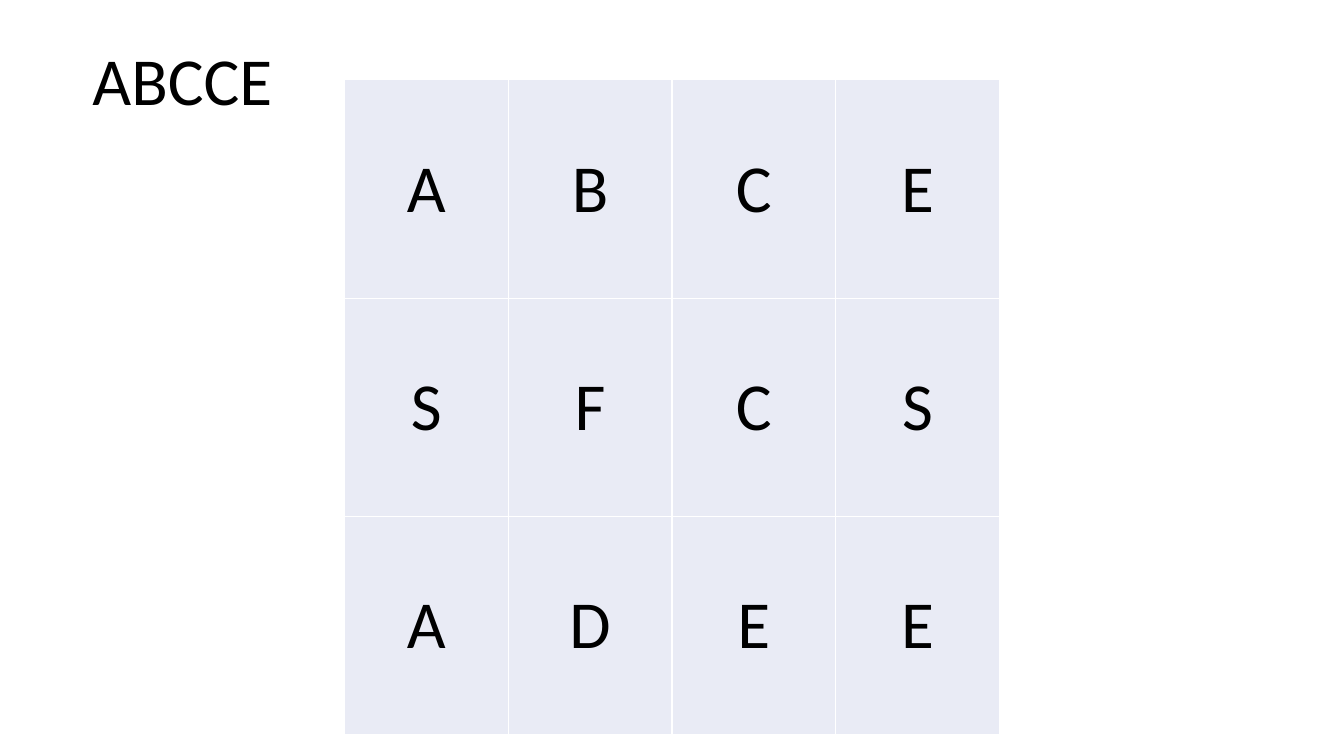
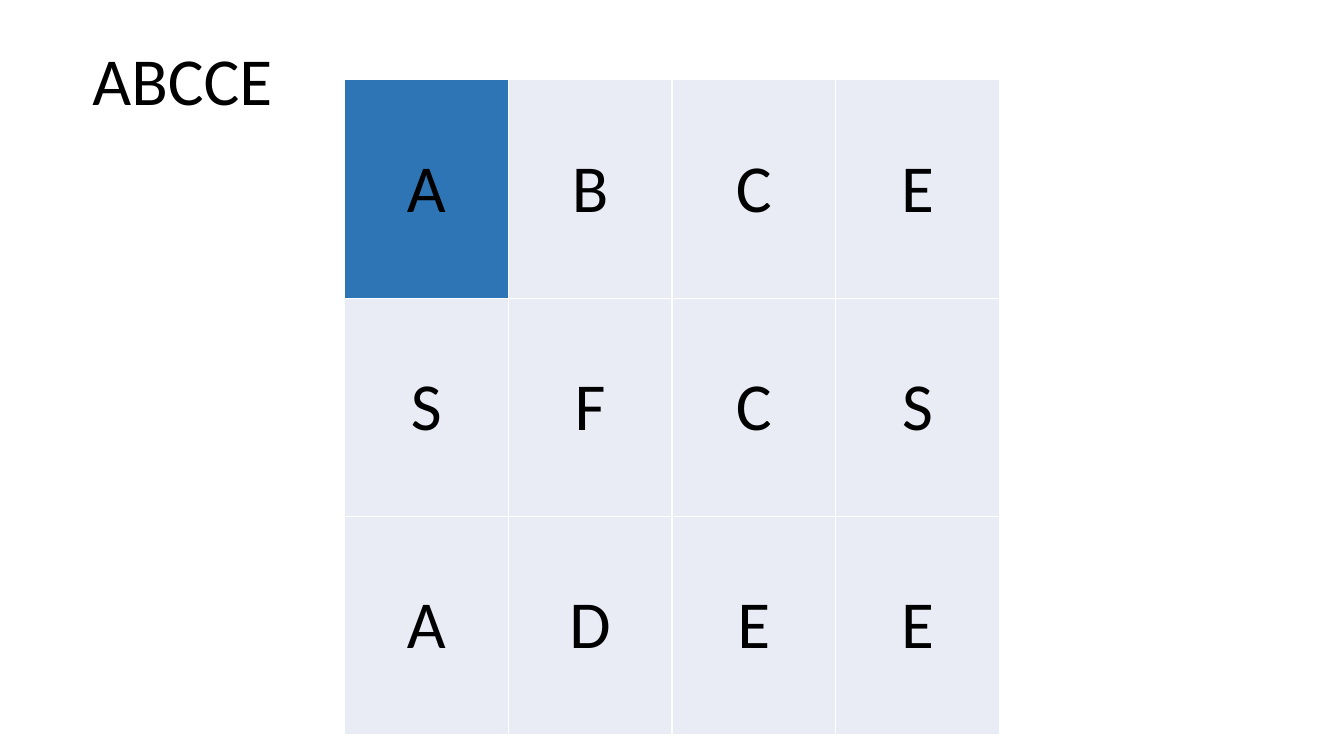
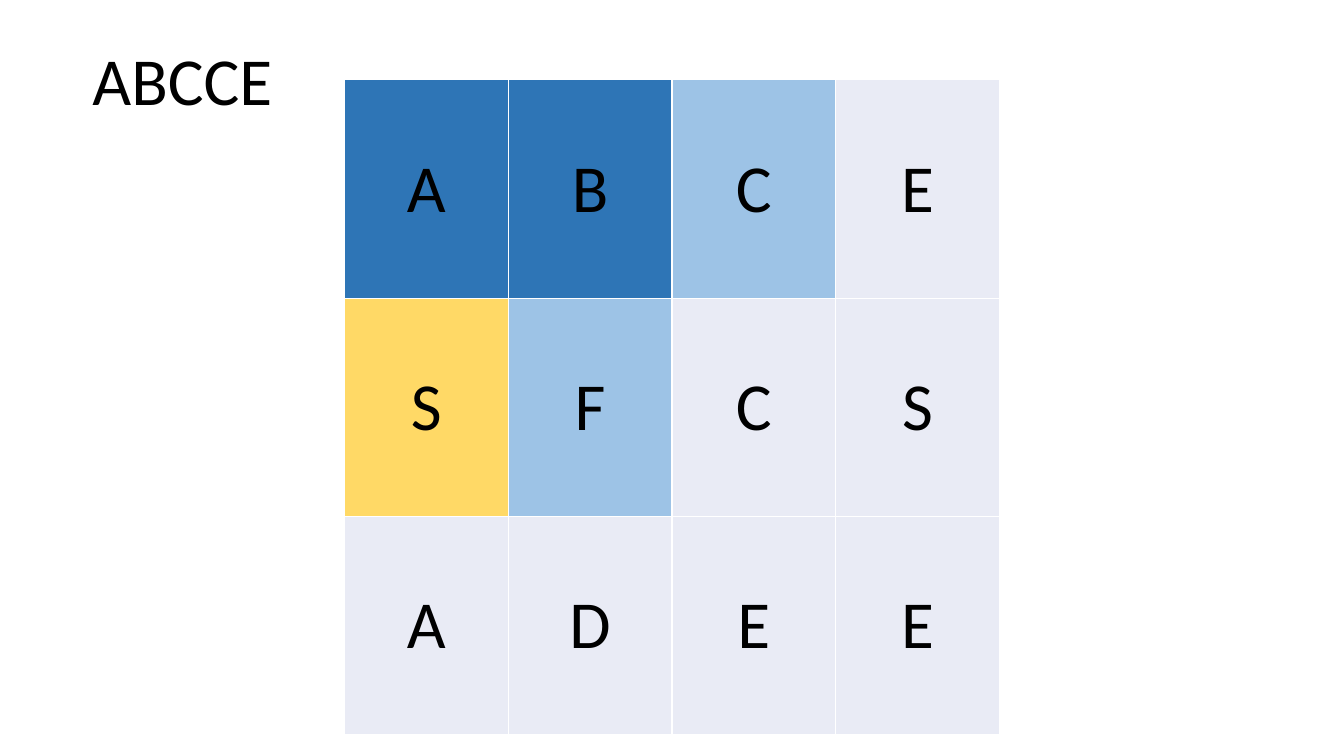
import pptx
import pptx.dml.color
import pptx.enum.text
import pptx.util
from lxml import etree
from pptx.oxml.ns import qn

Pt = pptx.util.Pt

WORD = "ABCCE"
BOARD = ["ABCE", "SFCS", "ADEE"]
STEPS = [
    {},
    {(0, 0): "matched"},
    {
        (0, 0): "matched",
        (0, 1): "matched",
        (0, 2): "candidate",
        (1, 0): "rejected",
        (1, 1): "candidate",
    },
]

COLOURS = {
    "text": "000000",
    "border": "FFFFFF",
    "unvisited": "E9EBF5",
    "matched": "2E75B6",
    "candidate": "9DC3E6",
    "rejected": "FFD966",
}
FONT = "Calibri"
LETTER_SIZE = 48
BORDER_WIDTH = 1
SLIDE_SIZE = (960, 540)
WORD_BOX = (59, 24, 246, 65.5)
BOARD_LEFT, BOARD_TOP, BOARD_SIDE = 246, 57, 468


def rgb(role):
    return pptx.dml.color.RGBColor.from_string(COLOURS[role])


def write(paragraph, text):
    run = paragraph.add_run()
    run.text = text
    run.font.name = FONT
    run.font.size = Pt(LETTER_SIZE)
    run.font.color.rgb = rgb("text")


def add_borders(cell):
    properties = cell._tc.get_or_add_tcPr()
    for side in ("a:lnL", "a:lnR", "a:lnT", "a:lnB"):
        line = etree.SubElement(properties, qn(side), w=str(Pt(BORDER_WIDTH)))
        fill = etree.SubElement(line, qn("a:solidFill"))
        etree.SubElement(fill, qn("a:srgbClr"), val=COLOURS["border"])


def add_board(slide, states):
    row_count, column_count = len(BOARD), len(BOARD[0])
    board = slide.shapes.add_table(
        row_count, column_count,
        Pt(BOARD_LEFT), Pt(BOARD_TOP), Pt(BOARD_SIDE), Pt(BOARD_SIDE),
    ).table
    board.first_row = False
    board.horz_banding = False
    for column in board.columns:
        column.width = Pt(BOARD_SIDE / column_count)
    for row in board.rows:
        row.height = Pt(BOARD_SIDE / row_count)
    for r, letters in enumerate(BOARD):
        for c, letter in enumerate(letters):
            cell = board.cell(r, c)
            add_borders(cell)
            cell.fill.solid()
            cell.fill.fore_color.rgb = rgb(states.get((r, c), "unvisited"))
            cell.vertical_anchor = pptx.enum.text.MSO_ANCHOR.MIDDLE
            paragraph = cell.text_frame.paragraphs[0]
            paragraph.alignment = pptx.enum.text.PP_ALIGN.CENTER
            write(paragraph, letter)


def add_word(slide):
    frame = slide.shapes.add_textbox(*map(Pt, WORD_BOX)).text_frame
    frame.word_wrap = True
    frame.auto_size = pptx.enum.text.MSO_AUTO_SIZE.SHAPE_TO_FIT_TEXT
    write(frame.paragraphs[0], WORD)


def main():
    deck = pptx.Presentation()
    deck.slide_width, deck.slide_height = map(Pt, SLIDE_SIZE)
    for states in STEPS:
        slide = deck.slides.add_slide(deck.slide_layouts[6])
        add_board(slide, states)
        add_word(slide)
    deck.save("out.pptx")


if __name__ == "__main__":
    main()
